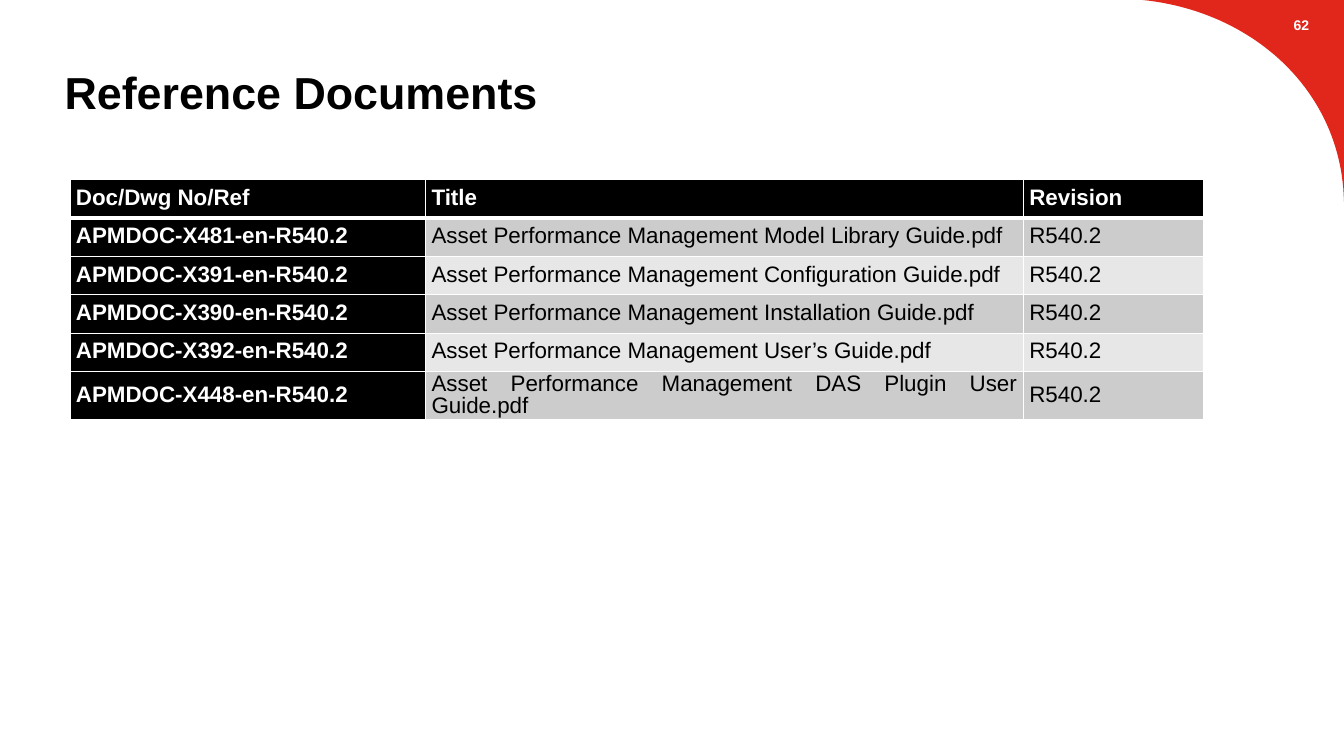
from lxml import etree
from pptx import Presentation
from pptx.dml.color import RGBColor
from pptx.enum import text as t
from pptx.oxml import ns
from pptx.util import Pt

BLACK = RGBColor(0x00, 0x00, 0x00)
WHITE = RGBColor(0xFF, 0xFF, 0xFF)
RED = RGBColor(0xE1, 0x26, 0x1C)
BANDS = (RGBColor(0xCC, 0xCC, 0xCC), RGBColor(0xE7, 0xE7, 0xE7))

WIDTH, HEIGHT = 960, 540
COLUMN_WIDTHS = (254, 427, 129)
ROW_HEIGHT = 27.4
HEADINGS = ("Doc/Dwg No/Ref", "Title", "Revision")
REVISION = "R540.2"
DOCUMENTS = (
    ("X481", "Model Library Guide"),
    ("X391", "Configuration Guide"),
    ("X390", "Installation Guide"),
    ("X392", "User’s Guide"),
    ("X448", "DAS Plugin User Guide"),
)


def write(frame, content, size=16, color=BLACK, bold=False, align=None, after=0, spacing=None):
    """Put one formatted paragraph into a text frame."""
    frame.word_wrap = True
    paragraph = frame.paragraphs[0]
    paragraph.alignment = align
    paragraph.space_after = Pt(after)
    paragraph.line_spacing = spacing
    run = paragraph.add_run()
    run.text = content
    run.font.name = "Arial"
    run.font.size = Pt(size)
    run.font.bold = bold
    run.font.color.rgb = color


def add_label(slide, content, left, top, width, height, anchor, inset_top=3.6, **style):
    """Add a text box holding one bold line."""
    frame = slide.shapes.add_textbox(Pt(left), Pt(top), Pt(width), Pt(height)).text_frame
    frame.vertical_anchor = anchor
    frame.margin_top = Pt(inset_top)
    write(frame, content, bold=True, **style)


def add_corner(slide, side=144, steps=48):
    """Draw the red corner outside a curve from the right edge to the top edge."""
    curve = ((WIDTH, side), (958.5, 65), (895, 8), (WIDTH - side, 0))
    points = []
    for step in range(steps + 1):
        s = step / steps
        weights = ((1 - s) ** 3, 3 * s * (1 - s) ** 2, 3 * s ** 2 * (1 - s), s ** 3)
        points.append(tuple(Pt(sum(w * p[axis] for w, p in zip(weights, curve))) for axis in (0, 1)))
    outline = slide.shapes.build_freeform(*points[0])
    outline.add_line_segments(points[1:] + [(Pt(WIDTH), 0)], close=True)
    corner = outline.convert_to_shape()
    corner.shadow.inherit = False
    corner.fill.solid()
    corner.fill.fore_color.rgb = RED
    corner.line.fill.background()


def add_borders(cell, top, bottom):
    """Give a cell white borders, with top and bottom widths in points."""
    for edge, width in (("L", 1), ("R", 1), ("T", top), ("B", bottom)):
        border = etree.SubElement(cell._tc.get_or_add_tcPr(), ns.qn(f"a:ln{edge}"), w=str(Pt(width)))
        fill = etree.SubElement(border, ns.qn("a:solidFill"))
        etree.SubElement(fill, ns.qn("a:srgbClr"), val=str(WHITE))


def add_documents(slide, left, top):
    """Add the table of reference documents."""
    rows = [HEADINGS] + [
        (f"APMDOC-{number}-en-{REVISION}", f"Asset Performance Management {title}.pdf", REVISION)
        for number, title in DOCUMENTS
    ]
    documents = slide.shapes.add_table(
        len(rows), len(HEADINGS), Pt(left), Pt(top), Pt(sum(COLUMN_WIDTHS)), Pt(ROW_HEIGHT * len(rows))
    ).table
    for column, width in zip(documents.columns, COLUMN_WIDTHS):
        column.width = Pt(width)
    for r, values in enumerate(rows):
        documents.rows[r].height = Pt(ROW_HEIGHT)
        for c, value in enumerate(values):
            cell = documents.cell(r, c)
            heading = r == 0 or c == 0
            add_borders(cell, top=3 if r == 1 else 1, bottom=3 if r == 0 else 1)
            cell.fill.solid()
            cell.fill.fore_color.rgb = BLACK if heading else BANDS[(r - 1) % 2]
            cell.vertical_anchor = t.MSO_ANCHOR.MIDDLE
            cell.margin_left = cell.margin_right = Pt(4.3)
            cell.margin_top = cell.margin_bottom = 0
            write(cell.text_frame, value, color=WHITE if heading else BLACK, bold=heading,
                  align=t.PP_ALIGN.JUSTIFY, after=3, spacing=0.9)


def main():
    """Build the reference documents slide."""
    deck = Presentation()
    deck.slide_width, deck.slide_height = Pt(WIDTH), Pt(HEIGHT)
    slide = deck.slides.add_slide(deck.slide_layouts[6])
    add_corner(slide)
    add_label(slide, "Reference Documents", 39, 39, 882, 78, t.MSO_ANCHOR.TOP, inset_top=7, size=32)
    add_label(slide, "62", 917, -2, 53, 40, t.MSO_ANCHOR.MIDDLE, size=10, color=WHITE)
    add_documents(slide, 50, 128.4)
    deck.save("out.pptx")


if __name__ == "__main__":
    main()
